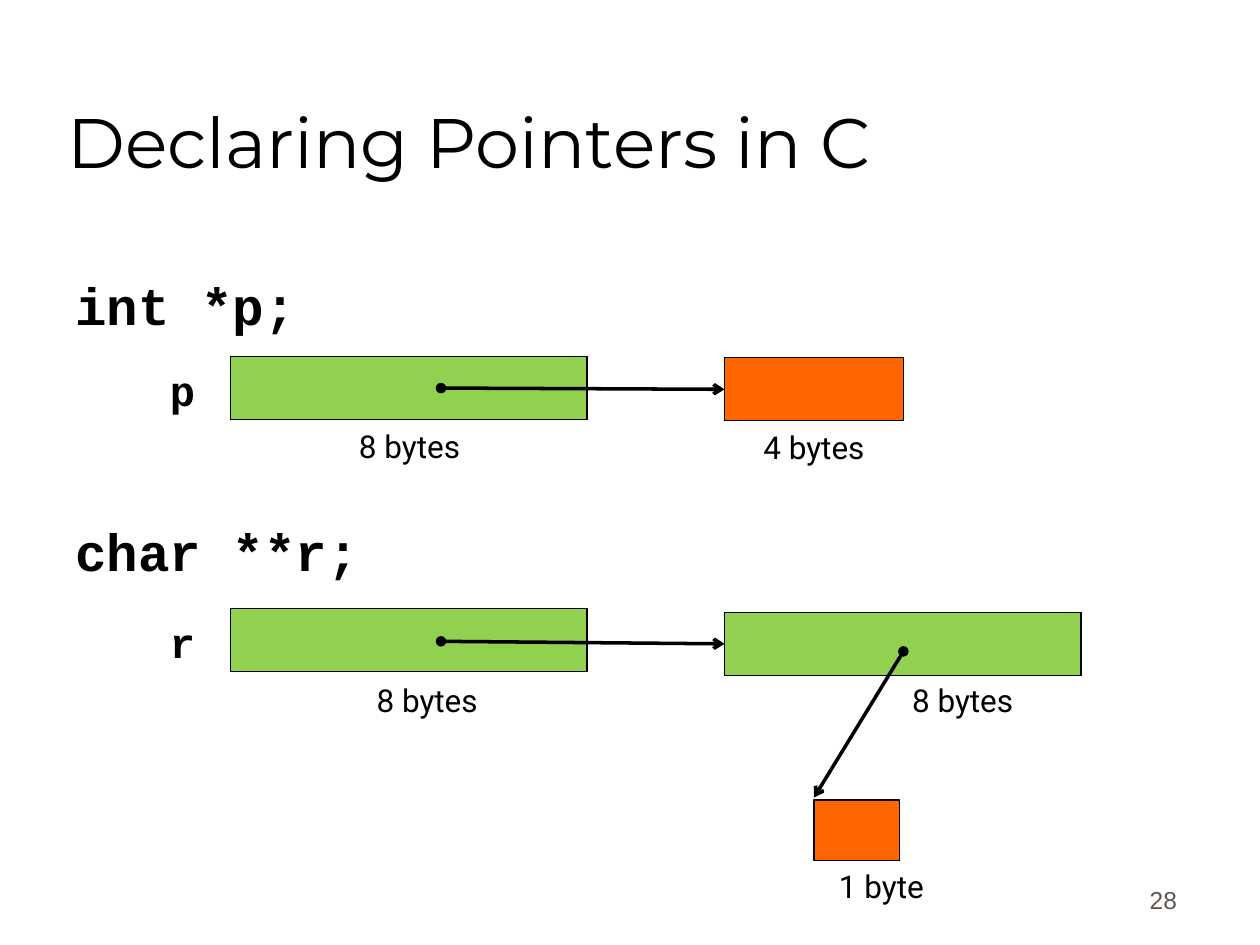
from lxml import etree
from pptx import Presentation
from pptx import util as u
from pptx.dml.color import RGBColor
from pptx.enum import shapes, text
from pptx.oxml.ns import qn

BLACK, GREEN, ORANGE, GREY = "000000", "92D050", "FF6600", "5E574E"
CODE, LABEL = "Courier New", "Roboto"

DECLARATIONS = [("int *p;", 2.12), ("char **r;", 4.07)]
VARIABLES = [("p", 2.84), ("r", 4.84)]
SIZES = [  # text, left, top
    ("8 bytes", 2.75, 3.34),
    ("4 bytes", 5.96, 3.35),
    ("8 bytes", 2.89, 5.36),
    ("8 bytes", 7.14, 5.36),
    ("1 byte", 6.56, 6.83),
]
MEMORY = {  # left, top, width, height, fill
    "p": (1.83, 2.83, 2.83, 0.5, GREEN),
    "int": (5.75, 2.84, 1.42, 0.5, ORANGE),
    "r": (1.83, 4.83, 2.83, 0.5, GREEN),
    "char pointer": (5.75, 4.86, 2.83, 0.5, GREEN),
    "char": (6.46, 6.35, 0.68, 0.48, ORANGE),
}
POINTERS = [  # start, end, cell joined at its left side
    ((3.5, 3.08), (5.75, 3.09), "int"),
    ((3.5, 5.09), (5.75, 5.11), "char pointer"),
    ((7.17, 5.17), (6.46, 6.33), None),
]


def rgb(value):
    return RGBColor.from_string(value)


def add_text(slide, words, left, top, width, height, *, size, font, color=BLACK,
             bold=False, align=text.PP_ALIGN.LEFT, anchor=text.MSO_ANCHOR.TOP):
    box = slide.shapes.add_textbox(*map(u.Inches, (left, top, width, height)))
    frame = box.text_frame
    frame.word_wrap = True
    frame.vertical_anchor = anchor
    paragraph = frame.paragraphs[0]
    paragraph.alignment = align
    run = paragraph.add_run()
    run.text = words
    run.font.size = u.Pt(size)
    run.font.name = font
    run.font.bold = bold
    run.font.color.rgb = rgb(color)


def add_cell(slide, left, top, width, height, fill):
    cell = slide.shapes.add_shape(shapes.MSO_SHAPE.RECTANGLE,
                                  *map(u.Inches, (left, top, width, height)))
    cell.shadow.inherit = False
    cell.fill.solid()
    cell.fill.fore_color.rgb = rgb(fill)
    cell.line.color.rgb = rgb(BLACK)
    cell.line.width = u.Pt(0.75)
    return cell


def add_pointer(slide, start, end, target):
    """Draw a line with a dot at its start and an arrowhead at its end."""
    pointer = slide.shapes.add_connector(shapes.MSO_CONNECTOR.STRAIGHT,
                                         *map(u.Inches, start + end))
    if target is not None:
        pointer.end_connect(target, 1)
    pointer.line.color.rgb = rgb(BLACK)
    pointer.line.width = u.Pt(2)
    line = pointer.line._get_or_add_ln()
    etree.SubElement(line, qn("a:headEnd"), type="oval")
    etree.SubElement(line, qn("a:tailEnd"), type="arrow")
    etree.SubElement(pointer._element.spPr, qn("a:effectLst"))


def main():
    deck = Presentation()
    deck.slide_width, deck.slide_height = u.Inches(10), u.Inches(7.5)
    slide = deck.slides.add_slide(deck.slide_layouts[6])

    add_text(slide, "Declaring Pointers in C", 0.44, 0.25, 8.5, 1.25,
             size=40, font="Montserrat", anchor=text.MSO_ANCHOR.BOTTOM)
    for declaration, top in DECLARATIONS:
        add_text(slide, declaration, 0.5, top, 9.25, 0.6, size=30, font=CODE, bold=True)
    add_text(slide, "28", 7.36, 6.81, 2.08, 0.5, size=14, font="Arial", color=GREY,
             align=text.PP_ALIGN.RIGHT, anchor=text.MSO_ANCHOR.BOTTOM)

    cells = {name: add_cell(slide, *cell) for name, cell in MEMORY.items()}
    for start, end, target in POINTERS:
        add_pointer(slide, start, end, cells.get(target))
    for variable, top in VARIABLES:
        add_text(slide, variable, 1.25, top, 0.58, 0.5, size=24, font=CODE, bold=True)
    for size, left, top in SIZES:
        add_text(slide, size, left, top, 1.21, 0.4, size=18, font=LABEL)

    deck.save("out.pptx")


if __name__ == "__main__":
    main()
